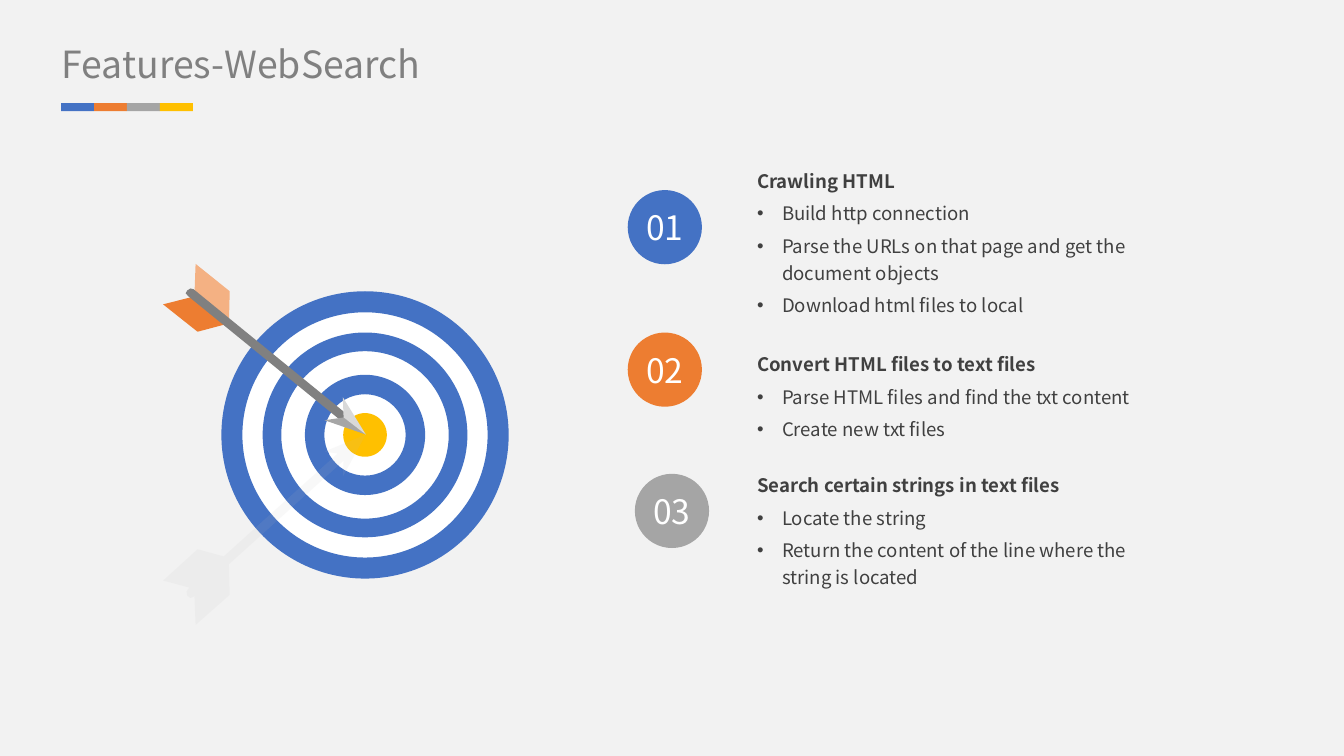
from lxml.etree import SubElement
from pptx import Presentation
from pptx.dml.color import RGBColor
from pptx.enum.shapes import MSO_SHAPE as Shape
from pptx.enum.text import MSO_ANCHOR as Anchor, MSO_AUTO_SIZE as AutoSize, PP_ALIGN as Align
from pptx.oxml.ns import qn
from pptx.util import Cm, Pt

BLUE = RGBColor(0x44, 0x72, 0xC4)
ORANGE = RGBColor(0xED, 0x7D, 0x31)
PEACH = RGBColor(0xF4, 0xB1, 0x83)
GRAY = RGBColor(0xA5, 0xA5, 0xA5)
YELLOW = RGBColor(0xFF, 0xC0, 0x00)
WHITE = RGBColor(0xFF, 0xFF, 0xFF)
BACKGROUND = RGBColor(0xF2, 0xF2, 0xF2)
TITLE_GRAY = RGBColor(0x80, 0x80, 0x80)
TEXT_GRAY = RGBColor(0x40, 0x40, 0x40)
TIP_DARK = RGBColor(0xA6, 0xA6, 0xA6)
TIP_LIGHT = RGBColor(0xD9, 0xD9, 0xD9)
SHADOW = RGBColor(0xBF, 0xBF, 0xBF)
FONT = "Noto Sans CJK SC"

deck = Presentation()
deck.slide_width, deck.slide_height = Cm(33.87), Cm(19.05)
page = deck.slides.add_slide(deck.slide_layouts[6])
page.background.fill.solid()
page.background.fill.fore_color.rgb = BACKGROUND


def paint(shape, color):
    shape.shadow.inherit = False
    shape.fill.solid()
    shape.fill.fore_color.rgb = color
    shape.line.fill.background()
    return shape


def style_text(para, size, color, bold=False):
    para.font.name = FONT
    para.font.size = Pt(size)
    para.font.color.rgb = color
    para.font.bold = bold


center_x, center_y = 9.2, 10.96
target = [
    (Shape.OVAL, 7.16, 0, WHITE),
    (Shape.OVAL, 1.1, 0, YELLOW),
    (Shape.DONUT, 7.24, 0.53, BLUE),
    (Shape.DONUT, 5.16, 0.47, BLUE),
    (Shape.DONUT, 3.03, 0.49, BLUE),
]
for kind, size, thickness, color in target:
    disc = paint(page.shapes.add_shape(
        kind, Cm(center_x - size / 2), Cm(center_y - size / 2), Cm(size), Cm(size)), color)
    if thickness:
        disc.adjustments[0] = thickness / size

arrow_parts = [
    (ORANGE, [(577, 815), (498, 836), (411, 767), (490, 747)]),
    (PEACH, [(577, 815), (579, 734), (493, 665), (490, 747)]),
    (TITLE_GRAY, [(892, 1082), (884, 1080), (475, 747), (468, 739), (472, 732),
                  (480, 727), (488, 729), (899, 1064), (903, 1072), (899, 1080)]),
    (TIP_DARK, [(818, 1059), (922, 1095), (866, 1052)]),
    (TIP_LIGHT, [(866, 1052), (922, 1095), (864, 1001)]),
    (SHADOW, [(922, 1095), (864, 1201), (866, 1161), (577, 1422), (579, 1499), (493, 1575),
              (490, 1501), (488, 1504), (480, 1507), (472, 1501), (470, 1491), (475, 1483),
              (478, 1481), (411, 1463), (498, 1384), (564, 1402), (851, 1143), (818, 1138)]),
]
for color, points in arrow_parts:
    outline = page.shapes.build_freeform(*points[0], scale=Cm(0.01))
    outline.add_line_segments(points[1:], close=True)
    part = paint(outline.convert_to_shape(), color)
    if color == SHADOW:
        tint = part.fill._xPr.find(f".//{qn('a:srgbClr')}")
        SubElement(tint, qn("a:alpha"), val="10000")

features = [
    (BLUE, 15.82, 4.79, 4.17, 4.62, "Crawling HTML", [
        "Build http connection",
        "Parse the URLs on that page and get the document objects",
        "Download html files to local"]),
    (ORANGE, 15.82, 8.38, 8.79, 2.29, "Convert HTML files to text files", [
        "Parse HTML files and find the txt content",
        "Create new txt files"]),
    (GRAY, 16, 11.94, 11.84, 2.97, "Search certain strings in text files", [
        "Locate the string",
        "Return the content of the line where the string is located"]),
]
text_frames = []
for number, (color, badge_left, badge_top, top, height, heading, points) in enumerate(features, 1):
    box = page.shapes.add_textbox(Cm(19.08), Cm(top), Cm(9.86), Cm(height))
    text_frames.append(box.text_frame)
    box.text_frame.text = "\n".join([heading, *points])
    for index, para in enumerate(box.text_frame.paragraphs):
        para.line_spacing = 1.2
        para.space_before = Pt(4)
        if index:
            properties = para._p.get_or_add_pPr()
            properties.set("marL", str(Cm(0.63)))
            properties.set("indent", str(-Cm(0.63)))
            SubElement(properties, qn("a:buFont"), typeface="Arial")
            SubElement(properties, qn("a:buChar"), char="•")
        style_text(para, 13.3, TEXT_GRAY, bold=index == 0)

    badge = paint(page.shapes.add_shape(
        Shape.OVAL, Cm(badge_left), Cm(badge_top), Cm(1.87), Cm(1.87)), color)
    text_frames.append(badge.text_frame)
    badge.text_frame.text = f"{number:02}"
    badge.text_frame.vertical_anchor = Anchor.MIDDLE
    para = badge.text_frame.paragraphs[0]
    para.alignment = Align.CENTER
    style_text(para, 24, WHITE)

title = page.shapes.add_textbox(Cm(1.55), Cm(1.04), Cm(10.29), Cm(1.14))
text_frames.append(title.text_frame)
title.text_frame.text = "Features-WebSearch"
style_text(title.text_frame.paragraphs[0], 26.7, TITLE_GRAY)

for frame in text_frames:
    frame.margin_left = frame.margin_right = frame.margin_top = frame.margin_bottom = 0
    frame.word_wrap = True
    if frame.vertical_anchor != Anchor.MIDDLE:
        frame.auto_size = AutoSize.SHAPE_TO_FIT_TEXT

for index, color in enumerate([BLUE, ORANGE, GRAY, YELLOW]):
    paint(page.shapes.add_shape(
        Shape.RECTANGLE, Cm(1.54 + index * 0.83), Cm(2.6), Cm(0.83), Cm(0.2)), color)

deck.save("out.pptx")
